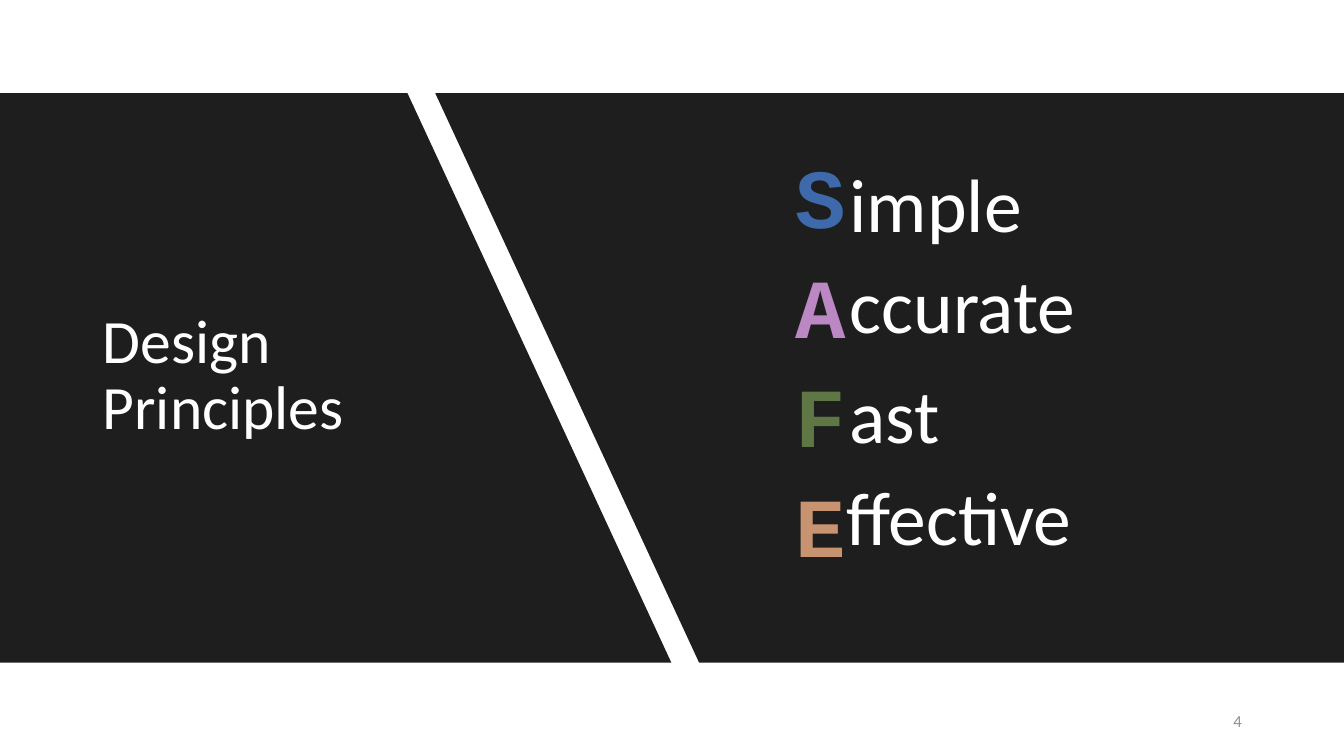
import pptx
import pptx.util
import pptx.dml.color
import pptx.enum.text

Cm = pptx.util.Cm
Pt = pptx.util.Pt
PP_ALIGN = pptx.enum.text.PP_ALIGN
MSO_ANCHOR = pptx.enum.text.MSO_ANCHOR

DARK = "1E1E1E"
WHITE = "FFFFFF"
GREY = "8F8F8F"
PRINCIPLES = [
    ("S", "imple", "3E69AB", 21.16, 3.84),
    ("A", "ccurate", "BC88C4", 21.16, 6.38),
    ("F", "ast", "5E7744", 21.16, 9.14),
    ("E", "ffective", "C79370", 21.08, 11.71),
]


def rgb(color):
    return pptx.dml.color.RGBColor.from_string(color)


def style(p, size, color, font="Calibri", bold=False):
    for r in p.runs:
        r.font.name = font
        r.font.size = Pt(size)
        r.font.bold = bold
        r.font.color.rgb = rgb(color)


def add_text(slide, x, y, w, h, lines, anchor=MSO_ANCHOR.TOP):
    tf = slide.shapes.add_textbox(Cm(x), Cm(y), Cm(w), Cm(h)).text_frame
    tf.word_wrap = True
    tf.vertical_anchor = anchor
    tf.text = "\n".join(lines)
    return tf


def add_panel(slide, points):
    pts = [(Cm(x), Cm(y)) for x, y in points]
    builder = slide.shapes.build_freeform(*pts[0])
    builder.add_line_segments(pts[1:], close=True)
    sp = builder.convert_to_shape()
    sp.shadow.inherit = False
    sp.fill.solid()
    sp.fill.fore_color.rgb = rgb(DARK)
    sp.line.fill.background()


def add_title_panel(slide, x, y, w, h):
    slant = 6.65
    add_panel(slide, [(x, y), (x + w - slant, y), (x + w, y + h), (x, y + h)])
    tf = add_text(slide, x + 2.34, y + 2.74, 9.47, 8.81,
                  ["Design Principles"], MSO_ANCHOR.MIDDLE)
    p = tf.paragraphs[0]
    p.line_spacing = 0.9
    style(p, 44, WHITE)


def add_principles_panel(slide, x, y, w, h):
    slant = 6.65
    add_panel(slide, [(x, y), (x + w, y), (x + w, y + h), (x + slant, y + h)])
    tf = add_text(slide, x + 8.84, y + 1.46, 1.63, 12.09,
                  [initial for initial, *_ in PRINCIPLES])
    for i, (p, principle) in enumerate(zip(tf.paragraphs, PRINCIPLES)):
        p.line_spacing = 0.9
        if i:
            p.space_before = Pt(13.5)
        style(p, 60, principle[2], "Courier New", True)
    for _, ending, _, left, top in PRINCIPLES:
        tf = add_text(slide, left, top, 7.04, 2.57, [ending])
        style(tf.paragraphs[0], 54, WHITE)


def add_slide_number(slide, x, y, w, h):
    tf = add_text(slide, x, y, w, h, ["4"], MSO_ANCHOR.MIDDLE)
    p = tf.paragraphs[0]
    p.alignment = PP_ALIGN.RIGHT
    style(p, 12, GREY)


def main():
    prs = pptx.Presentation()
    prs.slide_width = Cm(33.87)
    prs.slide_height = Cm(19.05)
    slide = prs.slides.add_slide(prs.slide_layouts[6])
    add_title_panel(slide, 0, 2.35, 16.92, 14.35)
    add_principles_panel(slide, 10.97, 2.35, 22.9, 14.35)
    add_slide_number(slide, 23.93, 17.66, 7.62, 1.01)
    prs.save("out.pptx")


if __name__ == "__main__":
    main()
